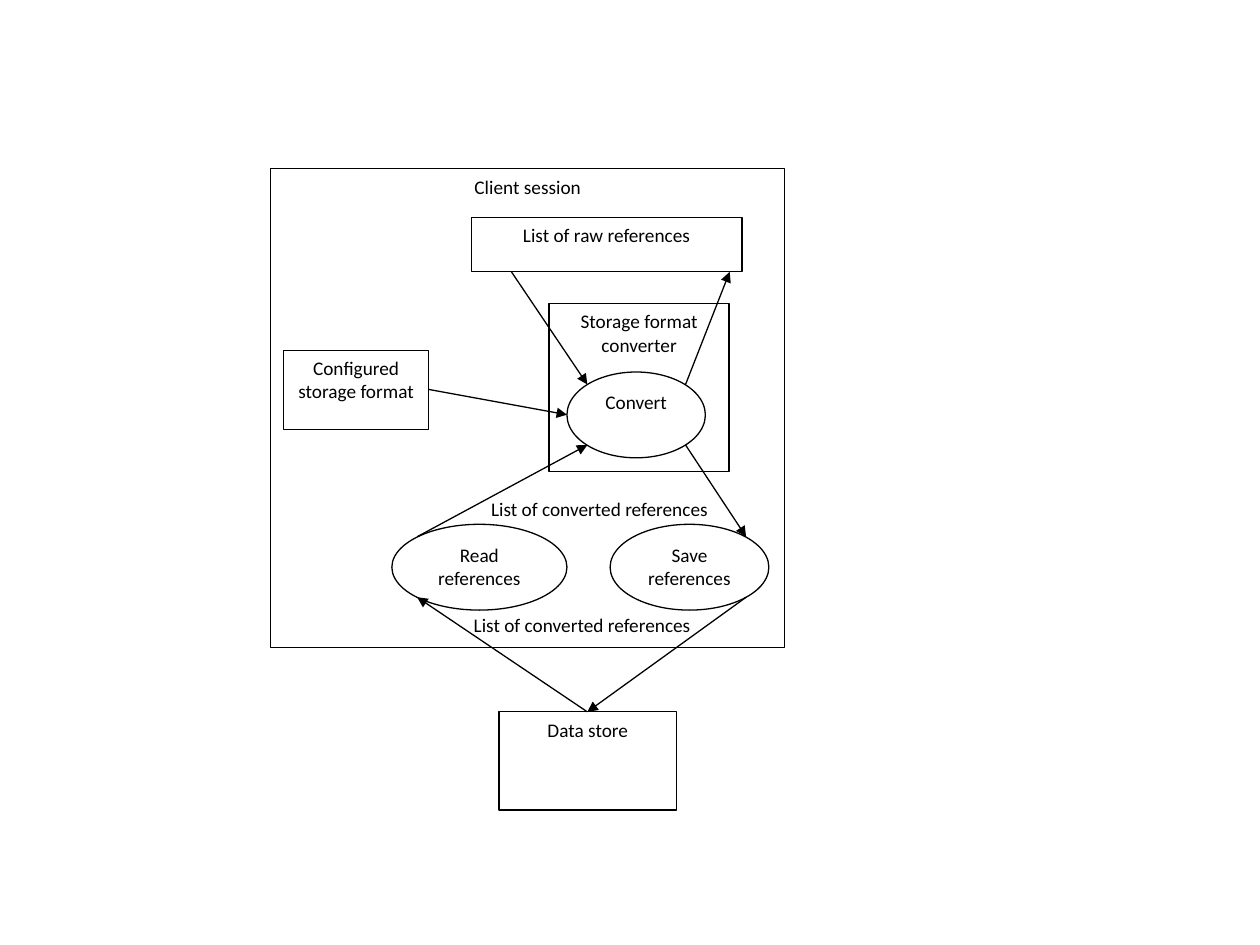
from lxml import etree
from pptx import Presentation
from pptx.dml.color import RGBColor
from pptx.enum.shapes import MSO_CONNECTOR, MSO_SHAPE
from pptx.enum.text import MSO_ANCHOR, MSO_AUTO_SIZE, PP_ALIGN
from pptx.oxml.ns import qn
from pptx.util import Cm, Pt

BLACK, WHITE = "000000", "FFFFFF"
RECT, OVAL = MSO_SHAPE.RECTANGLE, MSO_SHAPE.OVAL


def color(hex_string):
    """Return the colour for a hex string."""
    return RGBColor.from_string(hex_string)


def write(shape, text, align):
    """Put one paragraph of diagram text at the top of a shape."""
    frame = shape.text_frame
    frame.vertical_anchor = MSO_ANCHOR.TOP
    frame.text = text
    paragraph = frame.paragraphs[0]
    paragraph.alignment = align
    paragraph.font.size = Pt(11)
    paragraph.font.name = "Calibri"
    paragraph.font.color.rgb = color(BLACK)
    return frame


presentation = Presentation()
presentation.slide_width, presentation.slide_height = Cm(25.4), Cm(19.05)
slide = presentation.slides.add_slide(presentation.slide_layouts[6])

# Boxes and processes: kind, text, left, top, width, height
nodes = [
    (RECT, "Client session", 5.46, 3.4, 10.36, 9.65),
    (RECT, "Configured storage format", 5.72, 7.06, 2.92, 1.6),
    (RECT, "List of raw references", 9.5, 4.38, 5.46, 1.09),
    (RECT, "Storage format converter", 11.07, 6.12, 3.63, 3.38),
    (OVAL, "Convert", 11.43, 7.5, 2.79, 1.73),
    (OVAL, "Read references", 7.9, 10.57, 3.53, 1.73),
    (OVAL, "Save references", 12.3, 10.57, 3.2, 1.73),
    (RECT, "Data store", 10.06, 14.35, 3.58, 1.98),
]
for kind, text, *box in nodes:
    shape = slide.shapes.add_shape(kind, *map(Cm, box))
    shape.shadow.inherit = False
    shape.fill.solid()
    shape.fill.fore_color.rgb = color(WHITE)
    shape.line.color.rgb = color(BLACK)
    shape.line.width = Pt(0.75)
    frame = write(shape, text, PP_ALIGN.CENTER)
    frame.word_wrap = True
    frame.paragraphs[0].space_after = Pt(10)

# Points where the data flows meet the nodes
format_right, convert_left = (8.64, 7.85), (11.43, 8.36)
raw_out, raw_in = (10.31, 5.48), (14.71, 5.48)
convert_top_left, convert_top_right = (11.84, 7.75), (13.82, 7.75)
convert_bottom_left, convert_bottom_right = (11.84, 8.97), (13.82, 8.97)
read_top, read_bottom = (8.41, 10.82), (8.41, 12.04)
save_top, save_bottom = (15.04, 10.82), (15.04, 12.04)
store_top = (11.84, 14.35)

flows = [
    (format_right, convert_left),
    (raw_out, convert_top_left),
    (convert_top_right, raw_in),
    (read_top, convert_bottom_left),
    (convert_bottom_right, save_top),
    (save_bottom, store_top),
    (store_top, read_bottom),
]
for start, end in flows:
    arrow = slide.shapes.add_connector(MSO_CONNECTOR.STRAIGHT, *map(Cm, start + end))
    arrow.line.color.rgb = color(BLACK)
    arrow.line.width = Pt(0.75)
    properties = arrow.element.spPr
    line = properties.find(qn("a:ln"))
    etree.SubElement(line, qn("a:tailEnd"), type="triangle")
    etree.SubElement(properties, qn("a:effectLst"))

for left, top in [(9.3, 12.24), (9.65, 9.9)]:
    label = slide.shapes.add_textbox(Cm(left), Cm(top), Cm(4.95), Cm(1.19))
    frame = write(label, "List of converted references", PP_ALIGN.LEFT)
    frame.word_wrap = False
    frame.auto_size = MSO_AUTO_SIZE.SHAPE_TO_FIT_TEXT

presentation.save("out.pptx")
